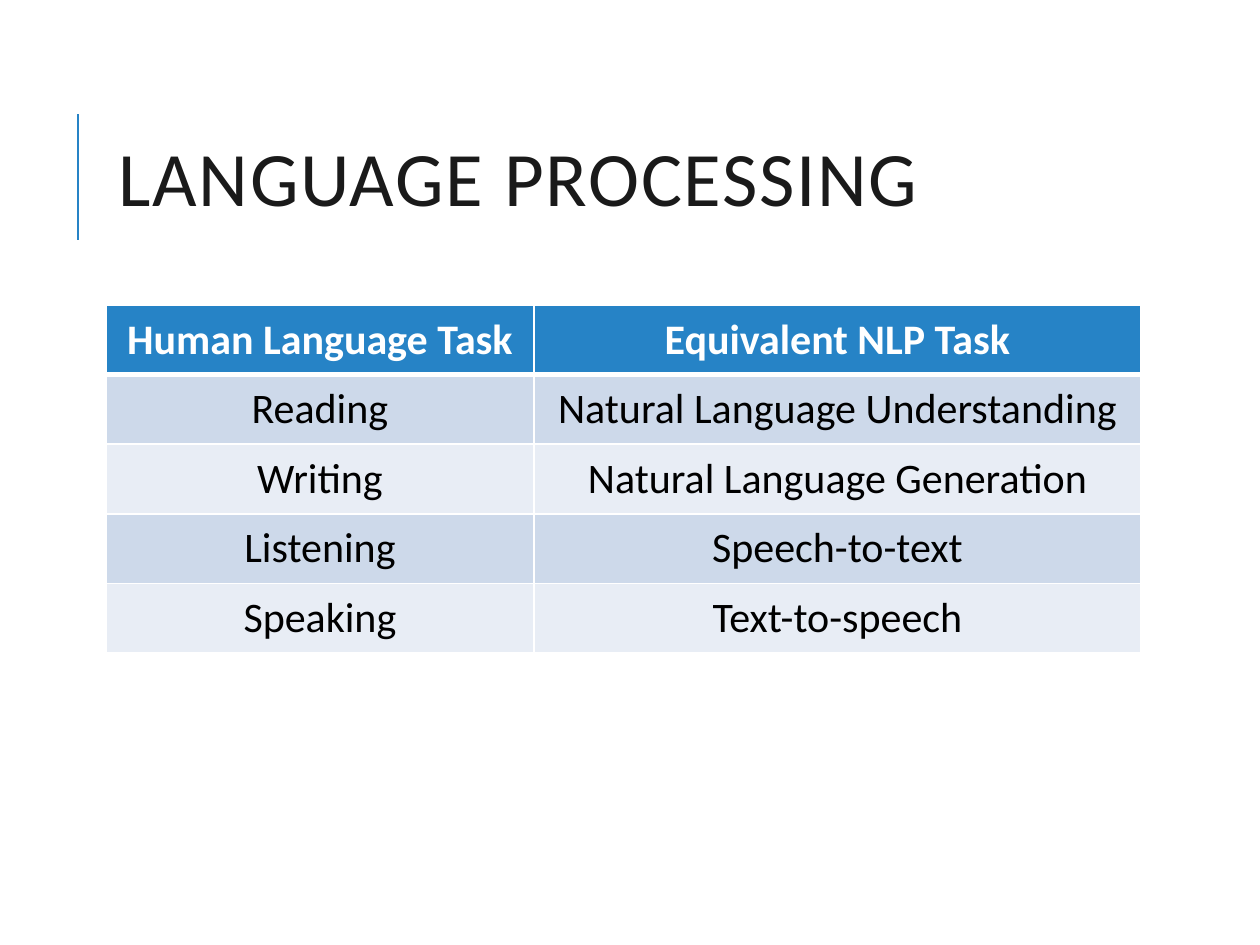
from dataclasses import dataclass

from lxml.etree import SubElement
from pptx import Presentation
from pptx.dml.color import RGBColor
from pptx.enum.shapes import MSO_CONNECTOR
from pptx.enum.text import MSO_ANCHOR, PP_ALIGN
from pptx.oxml.ns import qn
from pptx.util import Emu, Pt

PX_PER_INCH = 126
COLORS = {
    "accent": "2683C6",
    "title": "1A1A1A",
    "white": "FFFFFF",
    "black": "000000",
    "band_dark": "CDD9EA",
    "band_light": "E8EDF5",
}


@dataclass(frozen=True)
class Box:
    left: int
    top: int
    width: int
    height: int


@dataclass(frozen=True)
class Task:
    human: str
    nlp: str


HEADER = Task("Human Language Task", "Equivalent NLP Task")
TASKS = [
    Task("Reading", "Natural Language Understanding"),
    Task("Writing", "Natural Language Generation"),
    Task("Listening", "Speech-to-text"),
    Task("Speaking", "Text-to-speech"),
]
TITLE_BOX = Box(106, 81, 1004, 207)
TABLE_BOX = Box(106, 305, 1035, 348)
COLUMN_WIDTHS = (428, 607)

TITLE_FORMAT = {"name": "Calibri", "size": Pt(44), "bold": False}
HEADER_FORMAT = {"name": "Calibri", "size": Pt(24), "bold": True}
BODY_FORMAT = {**HEADER_FORMAT, "bold": False}


def px(length: int) -> Emu:
    return Emu(round(length * 914400 / PX_PER_INCH))


def place(box: Box) -> tuple:
    return px(box.left), px(box.top), px(box.width), px(box.height)


def color(name: str) -> RGBColor:
    return RGBColor.from_string(COLORS[name])


def write(paragraph, text: str, text_format: dict, ink: str):
    run = paragraph.add_run()
    run.text = text
    for attribute, value in text_format.items():
        setattr(run.font, attribute, value)
    run.font.color.rgb = color(ink)
    return run


def draw_accent(slide, x: int, bottom: int, top: int) -> None:
    accent = slide.shapes.add_connector(
        MSO_CONNECTOR.STRAIGHT, px(x), px(bottom), px(x), px(top))
    accent.line.color.rgb = color("accent")
    accent.line.width = Pt(1.5)
    SubElement(accent._element.spPr, qn("a:effectLst"))


def draw_title(slide, box: Box, text: str) -> None:
    frame = slide.shapes.add_textbox(*place(box)).text_frame
    frame.word_wrap = True
    frame.vertical_anchor = MSO_ANCHOR.MIDDLE
    heading = frame.paragraphs[0]
    heading.line_spacing = 0.8
    run = write(heading, text, TITLE_FORMAT, "title")
    run._r.get_or_add_rPr().set("spc", "100")


def add_borders(cell, widths: dict) -> None:
    properties = cell._tc.get_or_add_tcPr()
    for side, width in widths.items():
        border = SubElement(properties, qn(f"a:ln{side}"), w=str(Pt(width)))
        fill = SubElement(border, qn("a:solidFill"))
        SubElement(fill, qn("a:srgbClr"), val=COLORS["white"])


def draw_task_table(slide, box: Box, tasks: list[Task]) -> None:
    table = slide.shapes.add_table(
        len(tasks), len(COLUMN_WIDTHS), *place(box)).table
    for column, width in zip(table.columns, COLUMN_WIDTHS):
        column.width = px(width)

    for row, task in enumerate(tasks):
        # Header row, then alternating bands
        if row == 0:
            text_format, ink, fill = HEADER_FORMAT, "white", "accent"
        else:
            text_format, ink = BODY_FORMAT, "black"
            fill = "band_dark" if row % 2 else "band_light"
        # The rule below the header is heavier than the others
        borders = {"L": 1, "R": 1, "T": 3 if row == 1 else 1,
                   "B": 3 if row == 0 else 1}
        for column, text in enumerate((task.human, task.nlp)):
            cell = table.cell(row, column)
            add_borders(cell, borders)
            cell.fill.solid()
            cell.fill.fore_color.rgb = color(fill)
            cell.vertical_anchor = MSO_ANCHOR.MIDDLE
            paragraph = cell.text_frame.paragraphs[0]
            paragraph.alignment = PP_ALIGN.CENTER
            write(paragraph, text, text_format, ink)


def main() -> None:
    presentation = Presentation()
    presentation.slide_width = px(1260)
    presentation.slide_height = px(945)
    slide = presentation.slides.add_slide(presentation.slide_layouts[6])

    # Heading with its accent line
    draw_accent(slide, x=78, bottom=240, top=114)
    draw_title(slide, TITLE_BOX, "LANGUAGE PROCESSING")

    # Human tasks beside their NLP equivalents
    draw_task_table(slide, TABLE_BOX, [HEADER, *TASKS])

    presentation.save("out.pptx")


if __name__ == "__main__":
    main()
